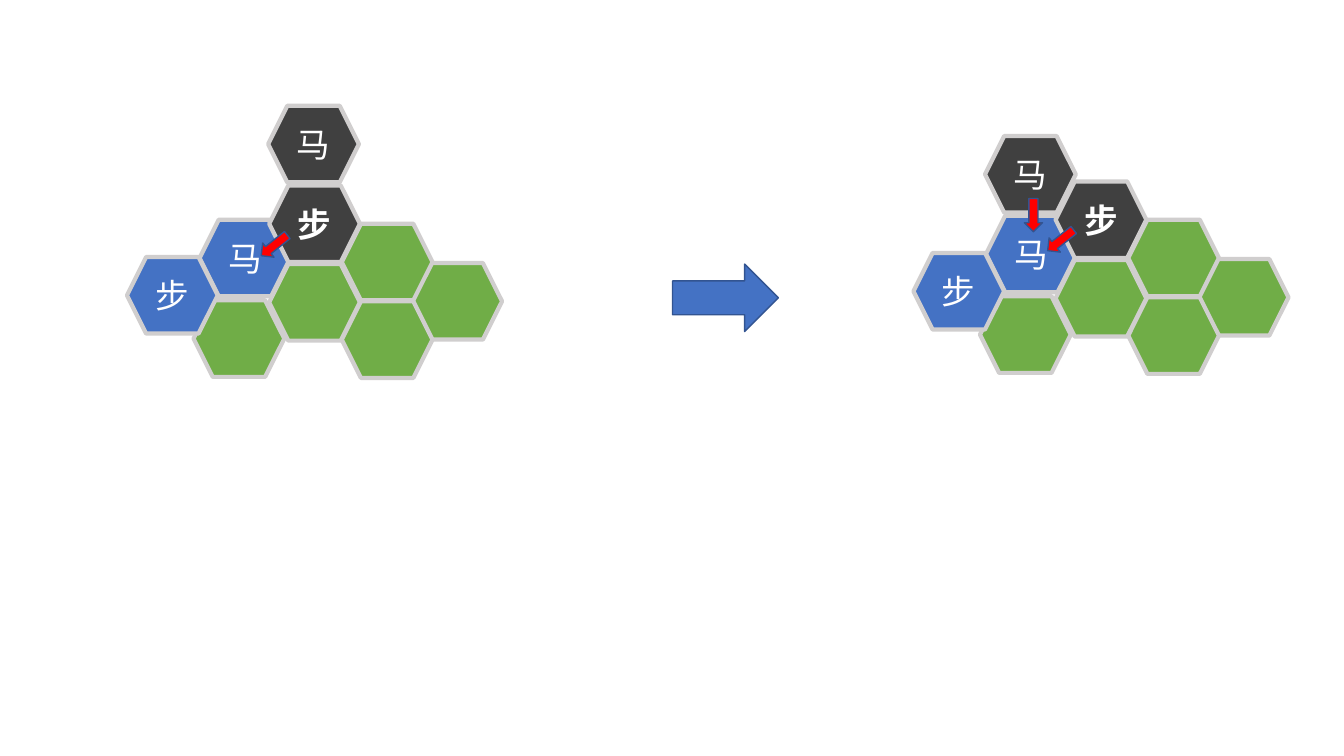
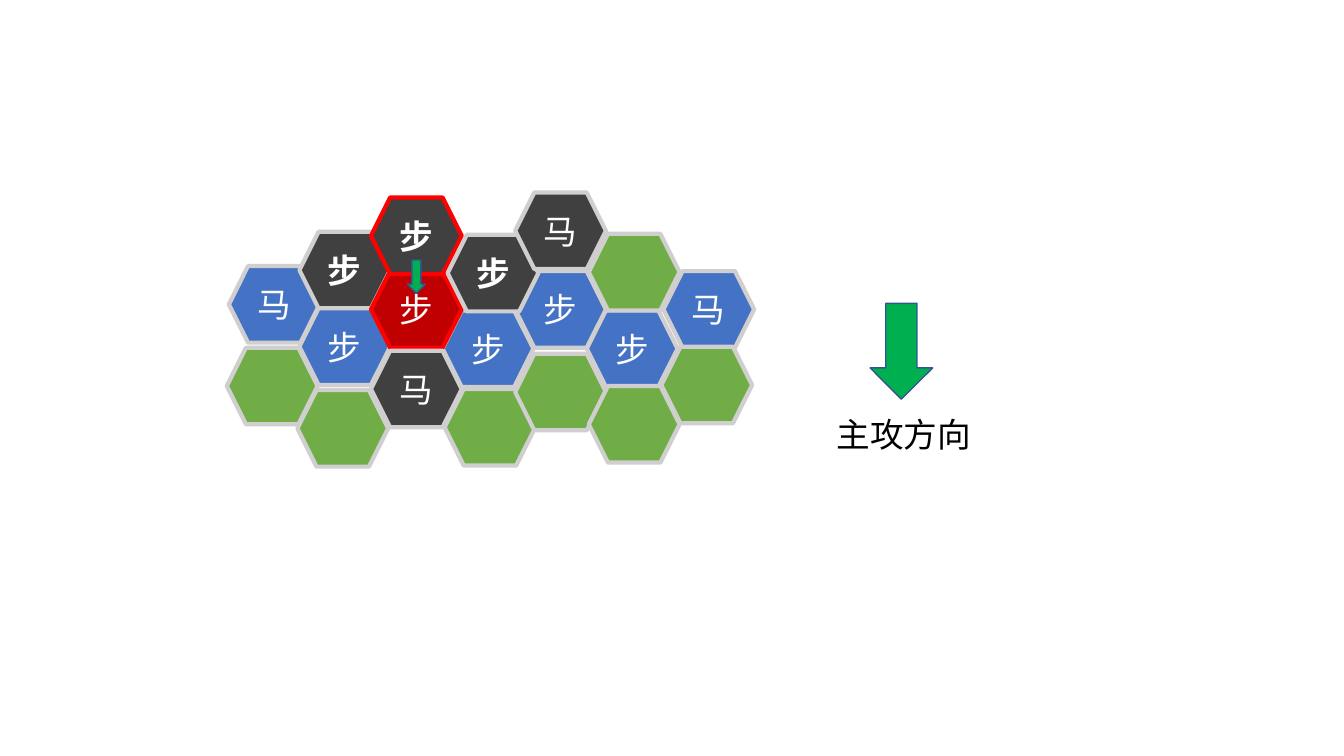
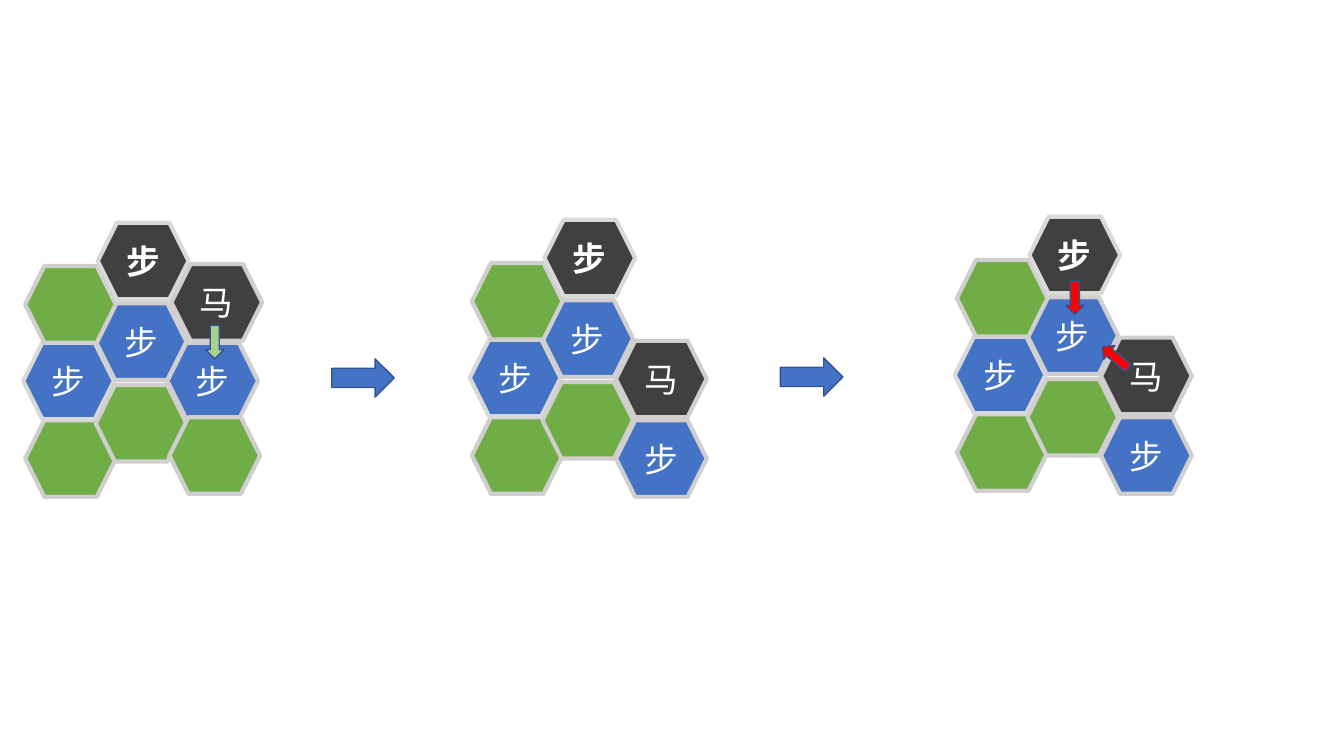
from pptx import Presentation
from pptx.dml.color import RGBColor
from pptx.enum.shapes import MSO_SHAPE
from pptx.enum.text import MSO_ANCHOR, PP_ALIGN
from pptx.oxml.ns import qn
from pptx.util import Inches, Pt
from lxml import etree

FONT = "Noto Sans CJK SC"
HUES = {
    "blue": "4472C4", "grass": "70AD47", "dark": "404040", "crimson": "C00000",
    "red": "FF0000", "green": "00B050", "mint": "A9D18E", "navy": "325491",
    "grey": "D0CECE", "pale": "D9D9D9", "white": "FFFFFF", "black": "000000",
}
KINDS = {
    "field": ("grass", "grey", "", False),
    "horse": ("blue", "grey", "马", False),
    "foot": ("blue", "grey", "步", False),
    "lead": ("blue", "pale", "步", False),
    "rider": ("dark", "grey", "马", False),
    "guard": ("dark", "grey", "步", True),
    "scout": ("dark", "pale", "步", True),
    "striker": ("dark", "red", "步", True),
    "target": ("crimson", "red", "步", False),
}
TILE = (0.9, 0.76)
SMALL = (0.18, 0.33)
DOWN, RIGHT = MSO_SHAPE.DOWN_ARROW, MSO_SHAPE.RIGHT_ARROW


def draw(slide, form, spot, size, fill, edge, weight, turn=0):
    shape = slide.shapes.add_shape(form, *map(Inches, spot + size))
    shape.shadow.inherit = False
    shape.rotation = turn
    shape.fill.solid()
    shape.fill.fore_color.rgb = RGBColor.from_string(HUES[fill])
    shape.line.color.rgb = RGBColor.from_string(HUES[edge])
    shape.line.width = Pt(weight)
    return shape


def label(frame, text, hue, bold=False):
    run = frame.paragraphs[0].add_run()
    run.text = text
    looks = {"name": FONT, "size": Pt(24), "bold": bold}
    for key, value in looks.items():
        setattr(run.font, key, value)
    run.font.color.rgb = RGBColor.from_string(HUES[hue])
    etree.SubElement(run.font._element, qn("a:ea"), typeface=FONT)


ridge = [
    ("horse", 0, 0), ("field", 0.69, 0.44), ("field", -0.06, 0.8),
    ("field", 2.1, 0.43), ("guard", 0.69, -0.34), ("field", 1.41, 0.04),
    ("field", 1.41, 0.81), ("foot", -0.72, 0.37),
]
front = [
    ("horse", 2.27, 2.64), ("field", 2.95, 3.87), ("guard", 2.97, 2.3),
    ("field", 4.41, 3.86), ("foot", 4.39, 3.08), ("foot", 2.97, 3.06),
    ("target", 3.68, 2.69), ("foot", 5.11, 2.69), ("foot", 5.82, 3.08),
    ("horse", 6.58, 2.69), ("field", 5.11, 3.51), ("field", 2.25, 3.45),
    ("field", 5.84, 2.32), ("field", 5.84, 3.83), ("field", 6.56, 3.44),
    ("striker", 3.68, 1.96), ("guard", 4.44, 2.33), ("rider", 5.11, 1.91),
    ("rider", 3.68, 3.48),
]
flank = [
    ("field", 0.02, 1.96), ("lead", 0, 1.19), ("foot", 0.72, 0.8),
    ("field", 0.72, 1.61), ("field", 0.02, 0.43), ("scout", 0.74, 0),
]
wing = [("foot", 1.43, 1.19), ("field", 1.45, 1.93), ("rider", 1.47, 0.41)]
pushed = [("foot", 1.45, 1.99), ("rider", 1.45, 1.2)]

pages = [
    {
        "boards": [
            (1.98, 2.18, ridge + [("rider", 0.68, -1.13)]),
            (9.78, 2.14, ridge + [("rider", -0.01, -0.79)]),
        ],
        "arrows": [
            (DOWN, (2.63, 2.27), SMALL, "red", 51.6),
            (DOWN, (10.43, 2.22), SMALL, "red", 51.6),
            (DOWN, (10.16, 1.97), SMALL, "red", 0),
            (RIGHT, (6.67, 2.62), (1.05, 0.67), "blue", 0),
        ],
    },
    {
        "boards": [(0, 0, front)],
        "arrows": [
            (DOWN, (4.04, 2.58), SMALL, "green", 0),
            (DOWN, (8.63, 3.01), (0.62, 0.95), "green", 0),
        ],
    },
    {
        "boards": [
            (0.23, 2.21, flank + wing),
            (4.66, 2.18, flank + pushed),
            (9.47, 2.15, flank + pushed),
        ],
        "arrows": [
            (DOWN, (2.04, 3.23), SMALL, "mint", 0),
            (DOWN, (10.57, 2.79), SMALL, "red", 0),
            (DOWN, (10.97, 3.38), SMALL, "red", 129.6),
            (RIGHT, (3.29, 3.56), (0.62, 0.38), "blue", 0),
            (RIGHT, (7.74, 3.55), (0.62, 0.38), "blue", 0),
        ],
    },
]

deck = Presentation()
deck.slide_width, deck.slide_height = Inches(13.33), Inches(7.5)

for page in pages:
    slide = deck.slides.add_slide(deck.slide_layouts[6])
    for left, top, tiles in page["boards"]:
        for kind, x, y in tiles:
            fill, edge, sign, bold = KINDS[kind]
            tile = draw(slide, MSO_SHAPE.HEXAGON, (left + x, top + y), TILE, fill, edge, 3)
            if sign:
                frame = tile.text_frame
                frame.vertical_anchor = MSO_ANCHOR.MIDDLE
                frame.paragraphs[0].alignment = PP_ALIGN.CENTER
                label(frame, sign, "white", bold)
    for form, spot, size, fill, turn in page["arrows"]:
        draw(slide, form, spot, size, fill, "navy", 1, turn)

note = deck.slides[1].shapes.add_textbox(Inches(8.2), Inches(4.06), Inches(1.7), Inches(0.5))
note.text_frame.word_wrap = True
label(note.text_frame, "主攻方向", "black")

deck.save("out.pptx")
